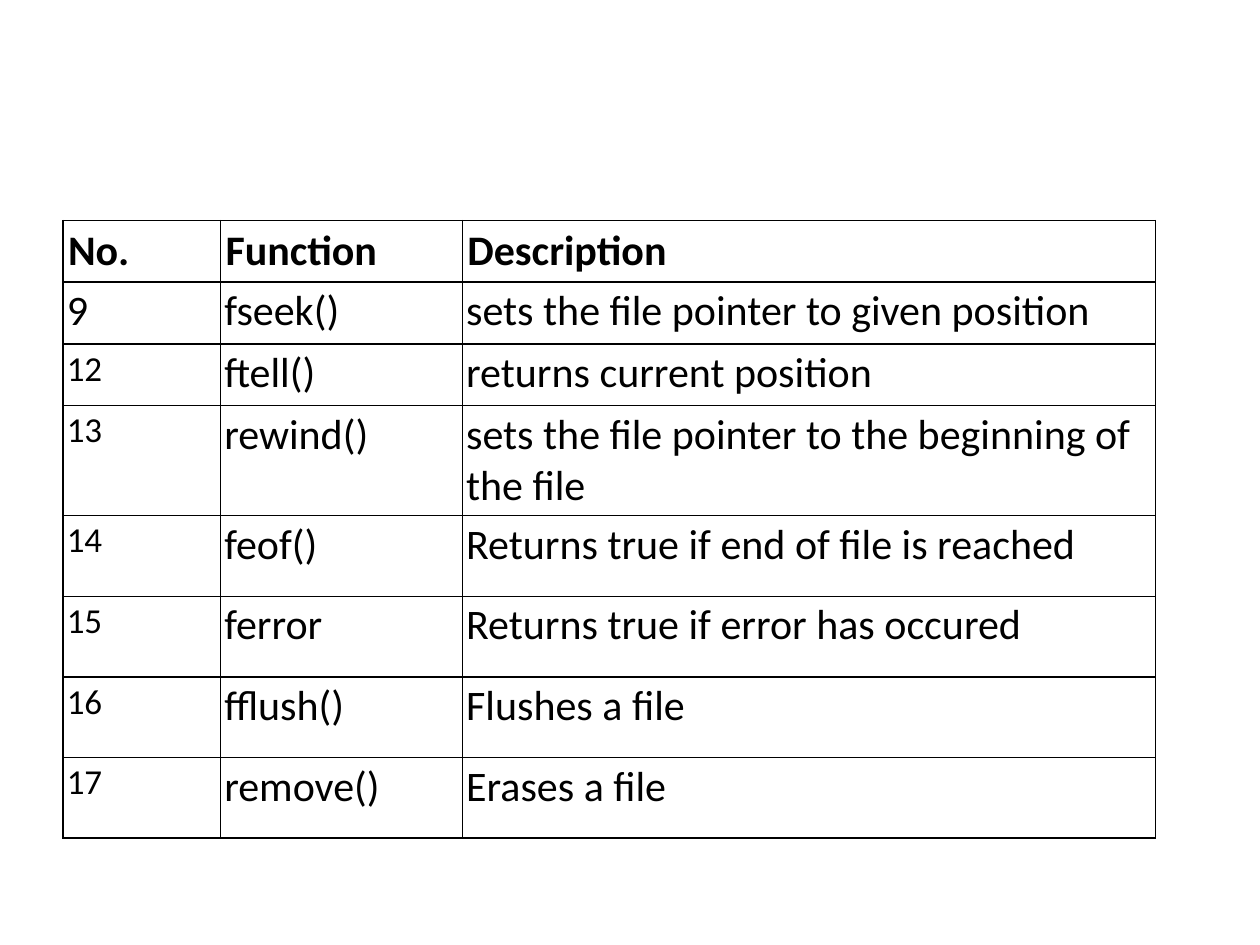
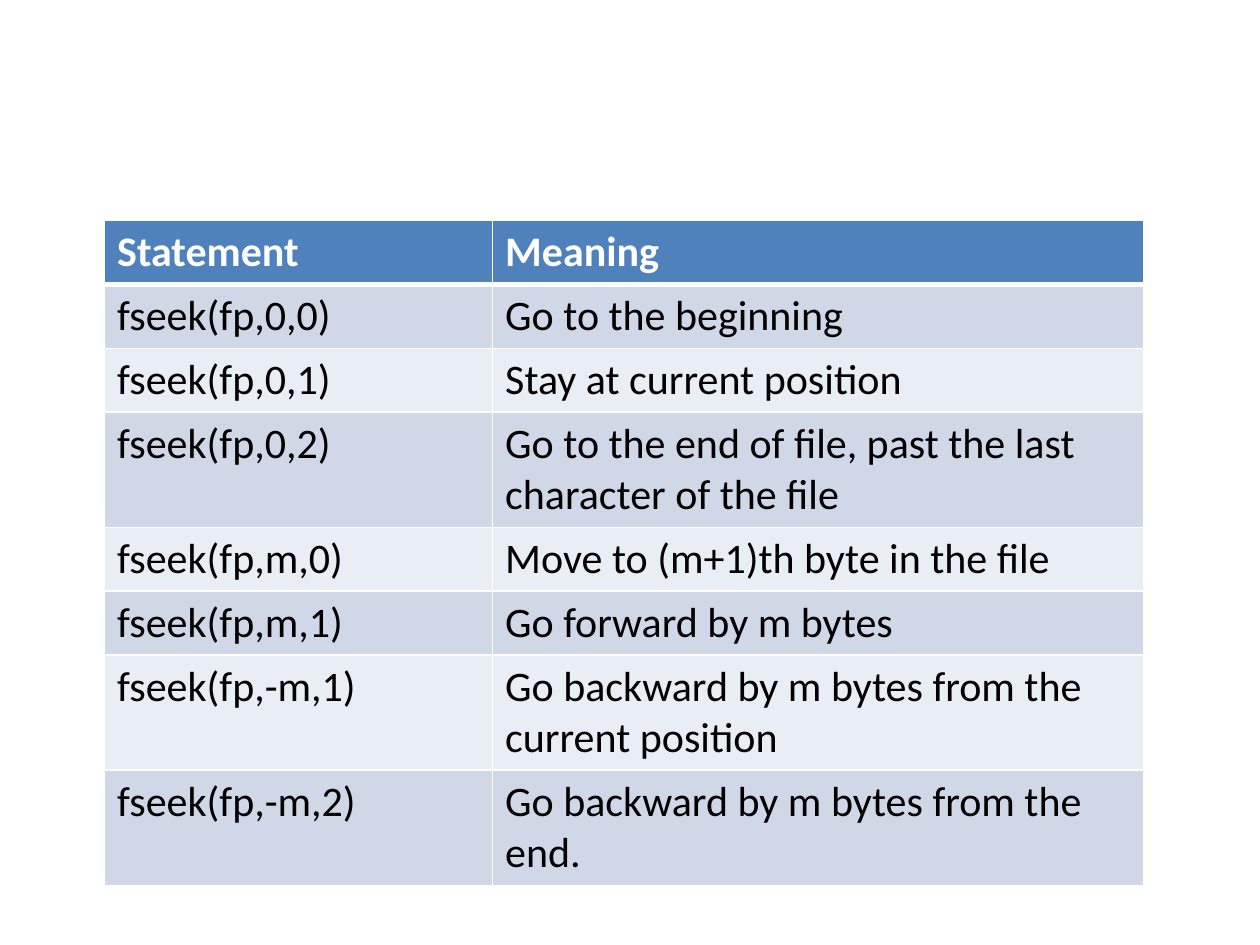
from dataclasses import dataclass

from lxml import etree
from pptx import Presentation
from pptx.dml.color import RGBColor
from pptx.oxml.ns import qn
from pptx.util import Inches, Pt

SLIDE_WIDTH, SLIDE_HEIGHT = Inches(10), Inches(7.5)
BLANK_LAYOUT = 6
FONT = "Calibri"
TEXT_SIZE, SMALL_SIZE = 24, 20
BLACK, WHITE = "000000", "FFFFFF"
BLUE, BAND_DARK, BAND_LIGHT = "4F81BD", "D0D8E8", "E9EDF4"
TABLE_TOP = 1.75

FILE_FUNCTIONS = [
    ("No.", "Function", "Description"),
    ("9", "fseek()", "sets the file pointer to given position"),
    ("12", "ftell()", "returns current position"),
    ("13", "rewind()", "sets the file pointer to the beginning of the file"),
    ("14", "feof()", "Returns true if end of file is reached"),
    ("15", "ferror", "Returns true if error has occured"),
    ("16", "fflush()", "Flushes a file"),
    ("17", "remove()", "Erases a file"),
]

FSEEK_STATEMENTS = [
    ("Statement", "Meaning"),
    ("fseek(fp,0,0)", "Go to the beginning"),
    ("fseek(fp,0,1)", "Stay at current position"),
    ("fseek(fp,0,2)", "Go to the end of file, past the last character of the file"),
    ("fseek(fp,m,0)", "Move to (m+1)th byte in the file"),
    ("fseek(fp,m,1)", "Go forward by m bytes"),
    ("fseek(fp,-m,1)", "Go backward by m bytes from the current position"),
    ("fseek(fp,-m,2)", "Go backward by m bytes from the end."),
]


@dataclass
class CellStyle:
    border_color: str
    text_color: str = BLACK
    fill: str | None = None
    size: int = TEXT_SIZE
    bold: bool = False
    margins: tuple = (0.1, 0.05)
    top_line: float = 1
    bottom_line: float = 1


def rgb(color):
    return RGBColor.from_string(color)


def set_borders(cell, style):
    """Add the four side lines; they must come before the fill in the cell."""
    properties = cell._tc.get_or_add_tcPr()
    widths = {"L": 1, "R": 1, "T": style.top_line, "B": style.bottom_line}
    for side, width in widths.items():
        line = etree.SubElement(properties, qn(f"a:ln{side}"), w=str(Pt(width)))
        solid = etree.SubElement(line, qn("a:solidFill"))
        etree.SubElement(solid, qn("a:srgbClr"), val=style.border_color)


def write_cell(cell, text, style):
    set_borders(cell, style)
    if style.fill:
        cell.fill.solid()
        cell.fill.fore_color.rgb = rgb(style.fill)
    else:
        cell.fill.background()
    side_margin, end_margin = style.margins
    cell.margin_left = cell.margin_right = Inches(side_margin)
    cell.margin_top = cell.margin_bottom = Inches(end_margin)
    run = cell.text_frame.paragraphs[0].add_run()
    run.text = text
    run.font.name = FONT
    run.font.size = Pt(style.size)
    run.font.bold = style.bold
    run.font.color.rgb = rgb(style.text_color)


def function_style(row, column):
    if row == 0:
        return CellStyle(BLACK, bold=True, margins=(0.04, 0.04))
    size = SMALL_SIZE if column == 0 and row > 1 else TEXT_SIZE
    return CellStyle(BLACK, size=size, margins=(0.03, 0.03))


def statement_style(row, column):
    if row == 0:
        return CellStyle(WHITE, WHITE, BLUE, bold=True, bottom_line=3)
    band = BAND_DARK if row % 2 else BAND_LIGHT
    return CellStyle(WHITE, fill=band, top_line=3 if row == 1 else 1)


def add_table_slide(presentation, rows, left, column_widths, row_heights, style_for):
    """Add a slide with one table; style_for(row, column) gives each cell's style."""
    slide = presentation.slides.add_slide(presentation.slide_layouts[BLANK_LAYOUT])
    table = slide.shapes.add_table(
        len(rows), len(column_widths), Inches(left), Inches(TABLE_TOP),
        Inches(sum(column_widths)), Inches(sum(row_heights))).table
    table.horz_banding = False
    for column, width in zip(table.columns, column_widths):
        column.width = Inches(width)
    for row, height in zip(table.rows, row_heights):
        row.height = Inches(height)
    for row_index, texts in enumerate(rows):
        for column_index, text in enumerate(texts):
            write_cell(table.cell(row_index, column_index), text,
                       style_for(row_index, column_index))


def main():
    presentation = Presentation()
    presentation.slide_width, presentation.slide_height = SLIDE_WIDTH, SLIDE_HEIGHT
    add_table_slide(presentation, FILE_FUNCTIONS, 0.5, (1.25, 1.92, 5.5),
                    [0.49] * 3 + [0.64] * 5, function_style)
    one_line, two_lines = 0.46, 0.79
    add_table_slide(presentation, FSEEK_STATEMENTS, 0.83, (3.08, 5.17),
                    [one_line] * 3 + [two_lines] + [one_line] * 2 + [two_lines] * 2,
                    statement_style)
    presentation.save("out.pptx")


if __name__ == "__main__":
    main()
